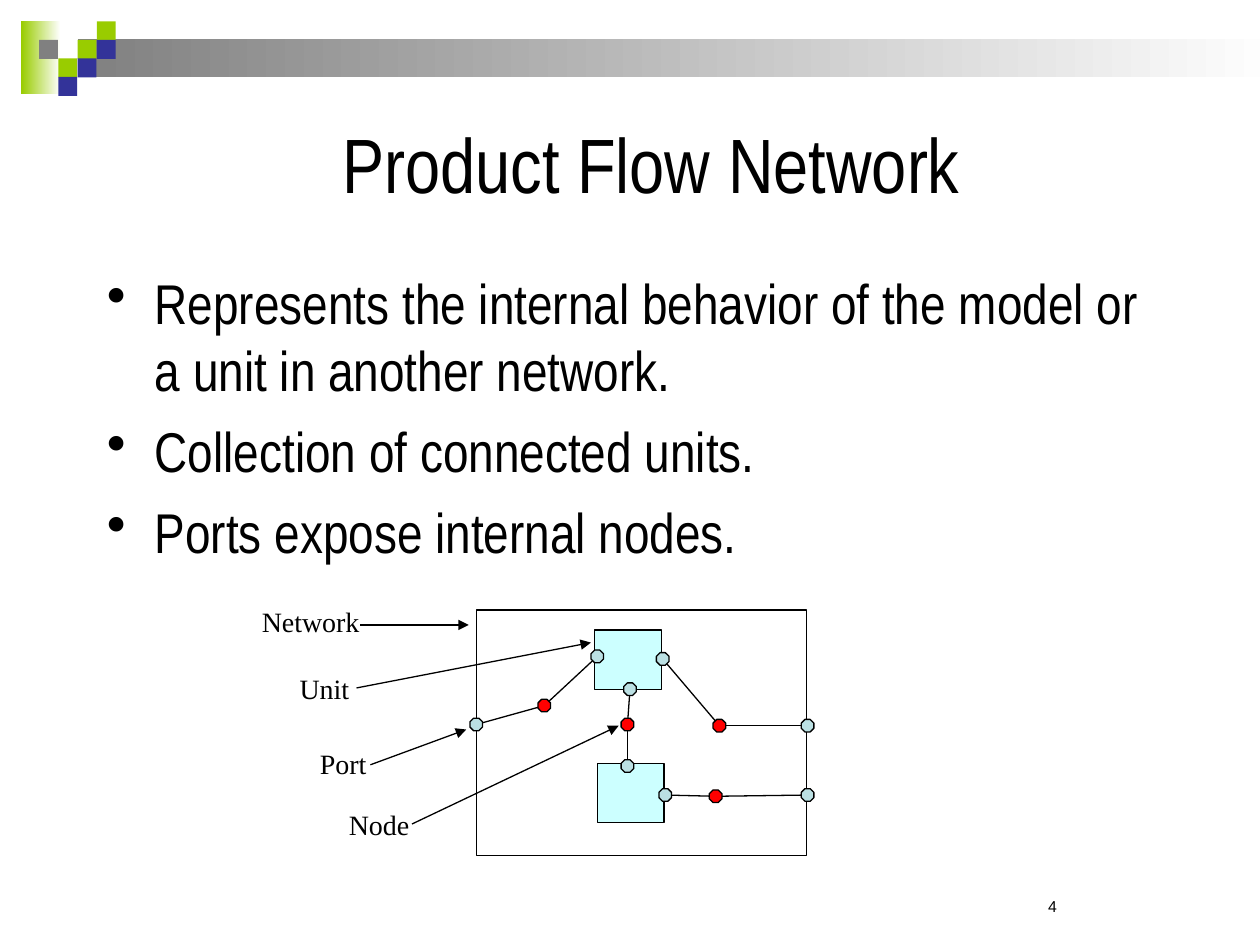
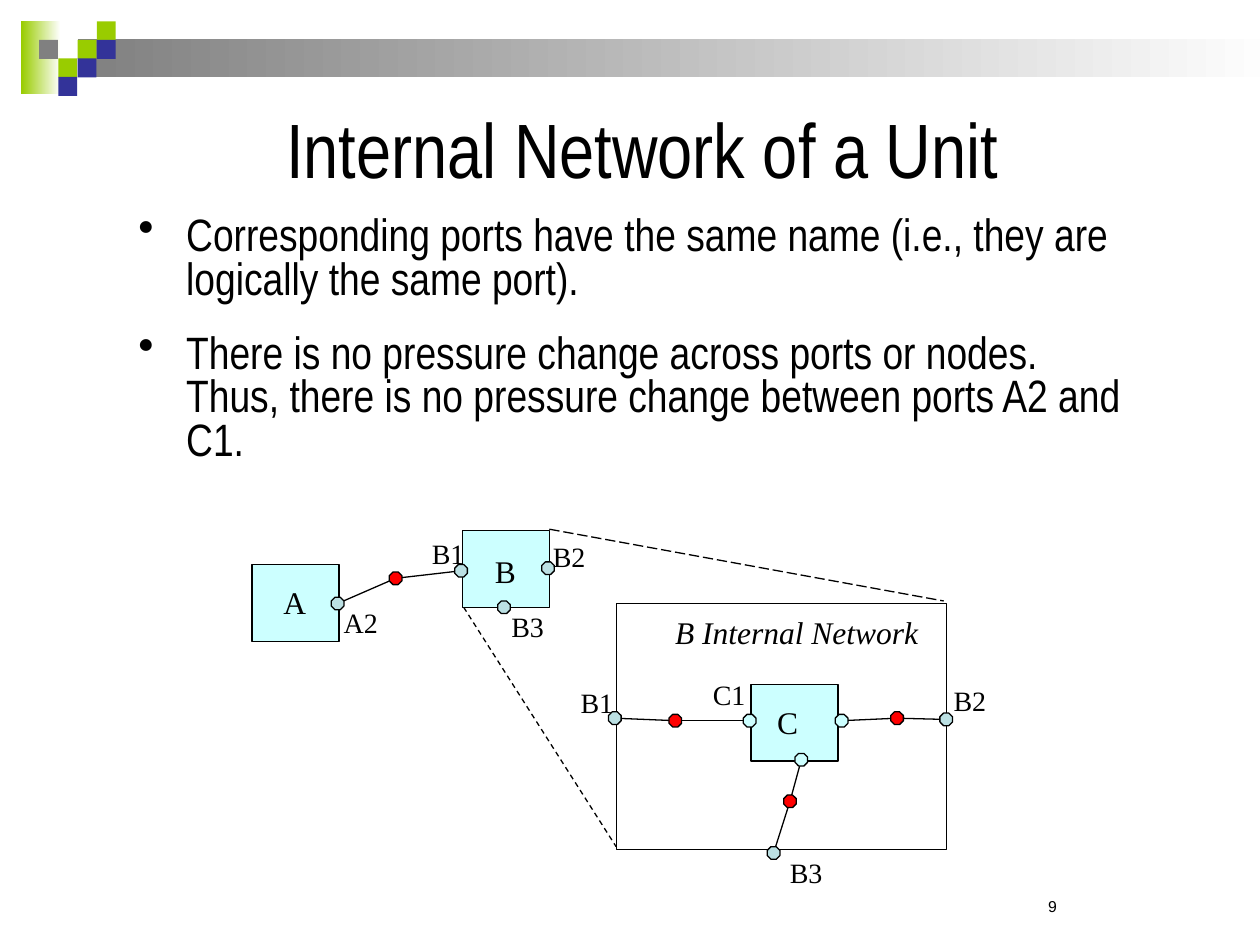
from lxml import etree
from pptx import Presentation, util as u
from pptx.dml.color import RGBColor
from pptx.enum import dml, shapes, text
from pptx.oxml.ns import qn

# The slide is a grid of 100 columns by 75 rows; all lengths are in cells.
COLUMNS, ROWS = 100, 75
CELL = u.Inches(0.1)

COLORS = {
    "ink": "000000", "white": "FFFFFF", "lime": "99CC00", "navy": "333399",
    "grey": "808080", "unit": "CCFFFF", "port": "BBE0E3", "node": "FF0000",
}
HEADING_FONT, LABEL_FONT, NUMBER_FONT = "Arial Narrow", "Times New Roman", "Arial"

MOSAIC_ORIGIN, MOSAIC_PITCH, TILE = (3.1, 1.7), (1.53, 1.47), 1.5
MOSAIC = {
    "lime": [(2, 1), (3, 0), (1, 2)],
    "navy": [(3, 1), (2, 2), (1, 3)],
    "grey": [(0, 1)],
}
JOINT_SIZE = 1
FRAME_SIZE = (26.2, 19.5)


def cells(*values):
    return [round(value * CELL) for value in values]


def color(name):
    return RGBColor.from_string(COLORS[name])


def style_font(paragraph, font, size, italic=False):
    paragraph.font.name = font
    paragraph.font.size = u.Pt(size)
    paragraph.font.italic = italic
    paragraph.font.color.rgb = color("ink")


def add_block(slide, box, fill=None, outlined=True, kind=shapes.MSO_SHAPE.RECTANGLE):
    block = slide.shapes.add_shape(kind, *cells(*box))
    block.shadow.inherit = False
    if fill:
        block.fill.solid()
        block.fill.fore_color.rgb = color(fill)
    else:
        block.fill.background()
    if outlined:
        block.line.color.rgb = color("ink")
        block.line.width = u.Pt(0.75)
    else:
        block.line.fill.background()
    return block


def add_fade(slide, box, start):
    """A bar that fades from the start colour on the left to white."""
    bar = add_block(slide, box, outlined=False)
    bar.fill.gradient()
    bar.fill.gradient_angle = 180
    for stop, name in zip(bar.fill.gradient_stops, ("white", start)):
        stop.color.rgb = color(name)


def add_text(slide, box, words, font, size, before=0, italic=False):
    frame = slide.shapes.add_textbox(*cells(*box)).text_frame
    frame.word_wrap = True
    paragraph = frame.paragraphs[0]
    paragraph.text = words
    paragraph.space_before = u.Pt(before)
    style_font(paragraph, font, size, italic)


def add_label(slide, left, top, words, width=6, size=16, italic=False):
    add_text(slide, (left, top, width, 3.7), words, LABEL_FONT, size, size * 0.625, italic)


def add_line(slide, start, end, dash=None, arrow=False):
    line = slide.shapes.add_connector(
        shapes.MSO_CONNECTOR.STRAIGHT, *cells(*start, *end))
    line.line.color.rgb = color("ink")
    line.line.width = u.Pt(0.75)
    if dash:
        line.line.dash_style = dash
    if arrow:
        etree.SubElement(line.line._get_or_add_ln(), qn("a:tailEnd"), type="triangle")
    etree.SubElement(line._element.spPr, qn("a:effectLst"))


def add_unit(slide, box):
    add_block(slide, box, "unit", kind=shapes.MSO_SHAPE.FLOWCHART_PROCESS)


def add_joints(slide, joints, fill):
    """Octagons centred on the given points."""
    for x, y in joints.values():
        corner = (x - JOINT_SIZE / 2, y - JOINT_SIZE / 2)
        add_block(slide, (*corner, JOINT_SIZE, JOINT_SIZE), fill,
                  kind=shapes.MSO_SHAPE.OCTAGON)


def add_pipes(slide, routes, joints):
    """Lines through the named joints of each route."""
    for route in routes:
        for start, end in zip(route, route[1:]):
            add_line(slide, joints[start], joints[end])


def add_bullets(slide, box, points, size, before, spacing=1.0):
    frame = slide.shapes.add_textbox(*cells(*box)).text_frame
    frame.word_wrap = True
    for index, point in enumerate(points):
        paragraph = frame.add_paragraph() if index else frame.paragraphs[0]
        paragraph.text = point
        paragraph.space_before = u.Pt(before)
        paragraph.line_spacing = spacing
        style_font(paragraph, HEADING_FONT, size)
        properties = paragraph._p.get_or_add_pPr()
        indent = u.Inches(0.38)
        properties.set("marL", str(indent))
        properties.set("indent", str(-indent))
        bullet = etree.Element(qn("a:buChar"), char="•")
        properties.find(qn("a:defRPr")).addprevious(bullet)


def add_page(deck, heading, heading_height, number):
    """A slide with the mosaic band, the title and the page number."""
    slide = deck.slides.add_slide(deck.slide_layouts.get_by_name("Title Only"))
    add_fade(slide, (1.7, 1.7, 3.1, 5.8), "lime")
    add_fade(slide, (6.2, 3.1, 95.5, 3), "grey")
    for name, tiles in MOSAIC.items():
        for tile in tiles:
            corner = [origin + pitch * step for origin, pitch, step
                      in zip(MOSAIC_ORIGIN, MOSAIC_PITCH, tile)]
            add_block(slide, (*corner, TILE, TILE), name, outlined=False)
    title = slide.shapes.title
    title.left, title.top, title.width, title.height = cells(9.2, 6.7, 85, heading_height)
    frame = title.text_frame
    frame.text = heading
    frame.auto_size = text.MSO_AUTO_SIZE.NONE
    frame.vertical_anchor = text.MSO_ANCHOR.MIDDLE
    frame.paragraphs[0].alignment = text.PP_ALIGN.CENTER
    style_font(frame.paragraphs[0], HEADING_FONT, 44)
    add_text(slide, (82.2, 70.7, 7.7, 2.5), number, NUMBER_FONT, 9)
    return slide


def add_flow_network(deck):
    slide = add_page(deck, "Product Flow Network", 12.5, "4")
    add_bullets(slide, (7.5, 20.8, 85, 45), [
        "Represents the internal behavior of the model or a unit in another network.",
        "Collection of connected units.",
        "Ports expose internal nodes.",
    ], size=32, before=8)

    ports = {
        "inlet": (37.8, 57.5), "upper outlet": (64.1, 57.6), "lower outlet": (64.1, 63.1),
        "upper left": (47.4, 52.1), "upper right": (52.6, 52.3), "upper bottom": (50, 54.7),
        "lower top": (49.8, 60.8), "lower right": (52.8, 63.1),
    }
    nodes = {
        "inlet node": (43.2, 56), "middle node": (49.8, 57.5),
        "upper node": (57.1, 57.6), "lower node": (56.8, 63.2),
    }
    add_pipes(slide, [
        ("inlet", "inlet node", "upper left"),
        ("upper right", "upper node", "upper outlet"),
        ("upper bottom", "middle node", "lower top"),
        ("lower right", "lower node", "lower outlet"),
    ], ports | nodes)
    add_block(slide, (37.8, 48.4, *FRAME_SIZE))
    for corner in [(47.2, 50), (47.4, 60.6)]:
        add_unit(slide, (*corner, 5.3, 4.7))
    add_joints(slide, ports, "port")
    add_joints(slide, nodes, "node")

    callouts = [
        ("Network", (19.8, 47.5), (28.6, 49.6), (37.2, 49.6)),
        ("Unit", (22.8, 52.8), (28.3, 54.6), (46.9, 51)),
        ("Port", (24.4, 58.8), (29.4, 60.7), (37, 57.9)),
        ("Node", (26.7, 63.6), (32.7, 65.4), (49.1, 57.6)),
    ]
    for words, corner, start, end in callouts:
        add_label(slide, *corner, words, width=10)
        add_line(slide, start, end, arrow=True)


def add_internal_network(deck):
    slide = add_page(deck, "Internal Network of a Unit ", 10, "9")
    add_bullets(slide, (10, 16.7, 80, 20.8), [
        "Corresponding ports have the same name (i.e., they are logically the same port).",
        "There is no pressure change across ports or nodes. Thus, there is no pressure "
        "change between ports A2 and C1.",
    ], size=25.9, before=17.5, spacing=0.8)

    ports = {
        "A2": (26.8, 47.9), "B1": (36.6, 45.3), "B2": (43.5, 45.1), "B3": (40, 48.2),
        "inner B1": (48.8, 57), "inner B2": (75.1, 57.1), "inner B3": (61.4, 67.7),
    }
    c_ports = {"C1": (59.5, 57.2), "C right": (66.8, 57.2), "C bottom": (63.6, 60.3)}
    nodes = {
        "A-B": (31.4, 45.9), "B1-C": (53.6, 57.2),
        "C-B2": (71.2, 57), "C-B3": (62.7, 63.6),
    }
    add_pipes(slide, [
        ("A2", "A-B", "B1"),
        ("inner B1", "B1-C", "C1"),
        ("C right", "C-B2", "inner B2"),
        ("C bottom", "C-B3", "inner B3"),
    ], ports | c_ports | nodes)
    add_line(slide, (36.8, 48.2), (48.9, 67.2), dml.MSO_LINE.DASH)
    add_line(slide, (43.6, 42), (74.9, 47.7), dml.MSO_LINE.LONG_DASH)
    add_block(slide, (48.9, 47.9, *FRAME_SIZE))

    units = [
        ("A", (20, 44.8), (21.5, 45.8)),
        ("B", (36.7, 42.1), (38.3, 43.3)),
        ("C", (59.6, 54.3), (60.7, 55.3)),
    ]
    for words, corner, label_corner in units:
        add_unit(slide, (*corner, 6.9, 6.1))
        add_label(slide, *label_corner, words, size=18)
    add_joints(slide, ports, "port")
    add_joints(slide, c_ports, "unit")
    add_joints(slide, nodes, "node")

    add_label(slide, 52.6, 48.2, "B Internal Network", width=22.2, size=18, italic=True)
    port_labels = [
        ("A2", 26.3, 47.6), ("B1", 33.3, 42.1), ("B2", 42.9, 42.3), ("B3", 39.6, 47.9),
        ("B1", 45.1, 53.9), ("C1", 55.6, 53.3), ("B2", 74.7, 53.8), ("B3", 61.7, 67.4),
    ]
    for words, left, top in port_labels:
        add_label(slide, left, top, words)


def main():
    deck = Presentation()
    deck.slide_width, deck.slide_height = cells(COLUMNS, ROWS)
    add_flow_network(deck)
    add_internal_network(deck)
    deck.save("out.pptx")


if __name__ == "__main__":
    main()
